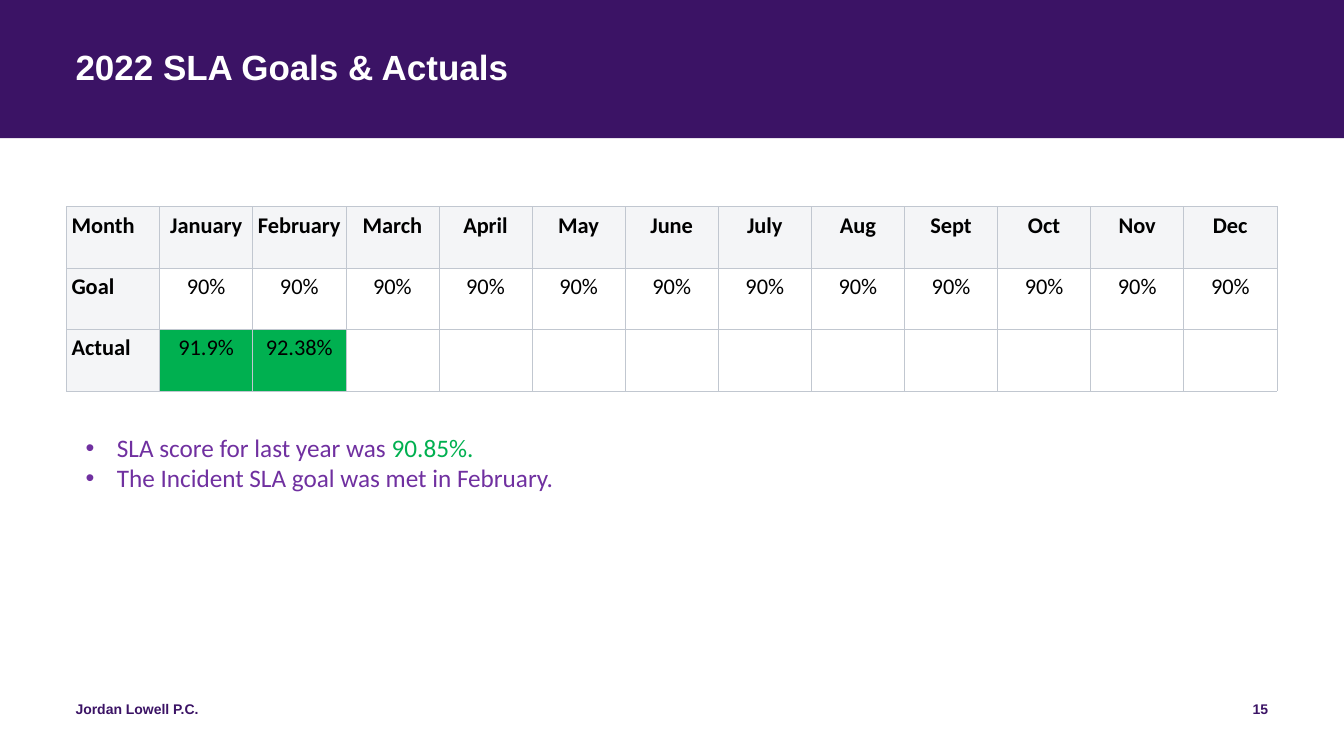
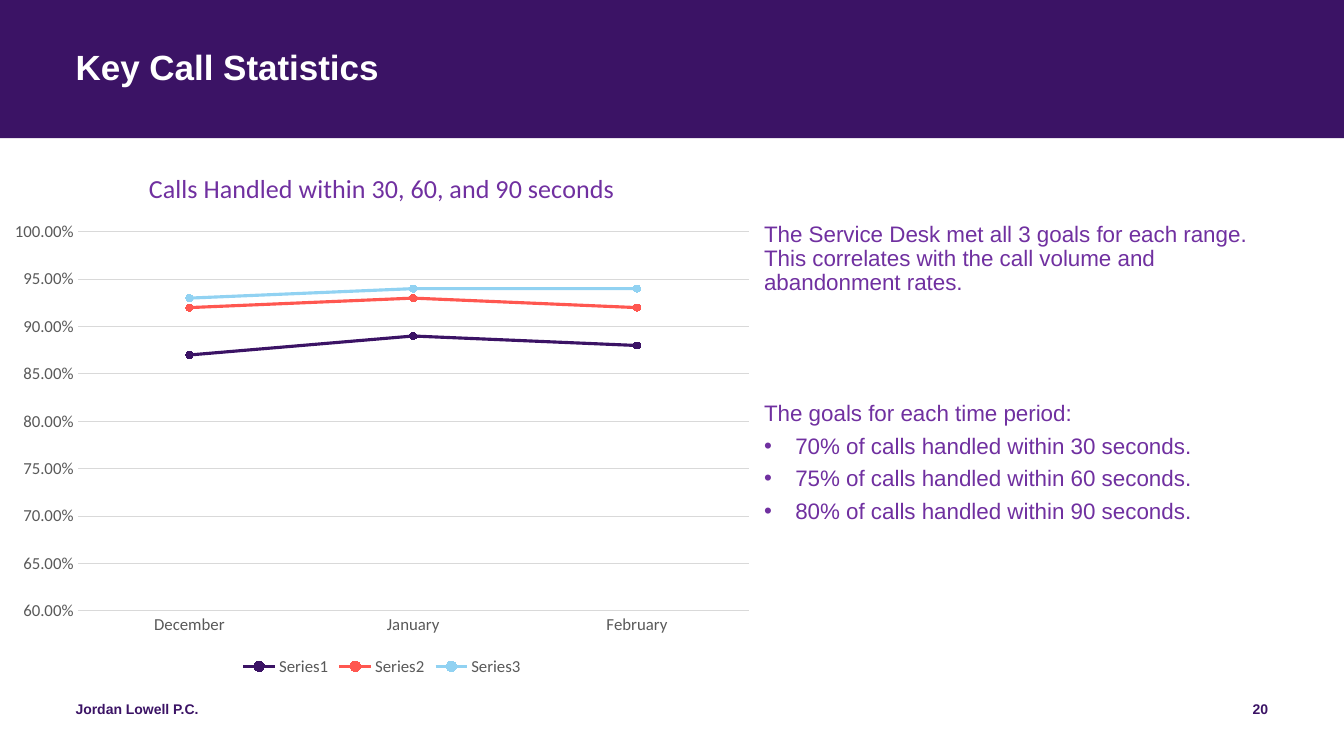
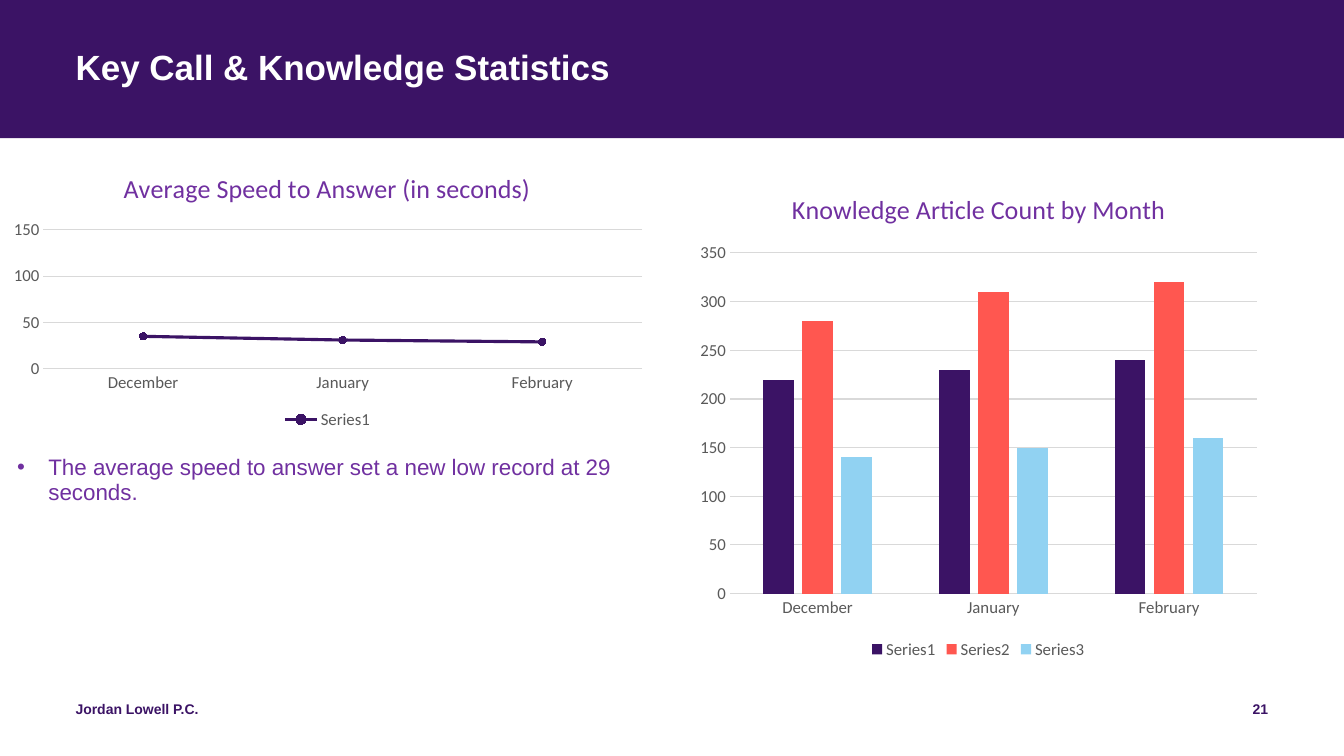
"""Build three service desk report slides."""
from dataclasses import dataclass

from lxml import etree
from pptx import Presentation
from pptx import util as u
from pptx.chart import data as chartdata
from pptx.dml import color as dml
from pptx.enum import chart as charts, shapes, text
from pptx.oxml import ns

SCALE = 9144


@dataclass(frozen=True)
class Theme:
    """Colours, fonts and type sizes of the deck."""
    purple: str = "3B1365"
    violet: str = "7030A0"
    coral: str = "FF5750"
    sky: str = "91D2F2"
    green: str = "00B050"
    white: str = "FFFFFF"
    black: str = "000000"
    header: str = "F4F5F7"
    border: str = "C1C7D0"
    grid: str = "D9D9D9"
    label: str = "595959"
    sans: str = "Arial"
    humanist: str = "Calibri"
    title: int = 25
    chart_title: float = 18.6
    bullet: int = 18
    body: int = 16
    axis: int = 12
    footer: int = 10


THEME = Theme()


def px(length):
    """Turn px into EMU."""
    return u.Emu(length * SCALE)


def rgb(code):
    """Turn a hex code into a colour."""
    return dml.RGBColor.from_string(code)


def style(font, size, color, name, bold=False):
    """Format a font."""
    font.size, font.name, font.bold = u.Pt(size), name, bold
    font.color.rgb = rgb(color)


def write(para, words, size=THEME.body, color=THEME.violet, name=THEME.sans,
          bold=False, align=text.PP_ALIGN.LEFT, leading=None, after=0):
    """Add a formatted span to a paragraph."""
    span = para.add_run()
    span.text = words
    style(span.font, size, color, name, bold)
    para.alignment = align
    para.space_before, para.space_after = u.Pt(0), u.Pt(after)
    if leading:
        para.line_spacing = leading


def element(parent, tag, **attributes):
    """Append an XML element with attributes."""
    return etree.SubElement(parent, ns.qn(tag), {key: str(value) for key, value in attributes.items()})


def set_bullet(para, shown):
    """Give a paragraph a hanging bullet or none."""
    props = para._p.get_or_add_pPr()
    indent = px(31) if shown else 0
    props.set("marL", str(indent))
    props.set("indent", str(-indent))
    if shown:
        element(props, "a:buFont", typeface=THEME.sans)
        element(props, "a:buChar", char="•")
    else:
        element(props, "a:buNone")


def set_borders(cell):
    """Draw a thin line on all four sides of a cell."""
    props = cell._tc.get_or_add_tcPr()
    for side in ("a:lnL", "a:lnR", "a:lnT", "a:lnB"):
        line = element(props, side, w=u.Pt(0.5))
        element(element(line, "a:solidFill"), "a:srgbClr", val=THEME.border)


def set_layout(parent, index, frame, area, inner=False):
    """Place a chart part at an area given in slide px."""
    old = parent.find(ns.qn("c:layout"))
    if old is not None:
        parent.remove(old)
    layout = etree.Element(ns.qn("c:layout"))
    parent.insert(index, layout)
    manual = element(layout, "c:manualLayout")
    if inner:
        element(manual, "c:layoutTarget", val="inner")
    for tag in ("c:xMode", "c:yMode"):
        element(manual, tag, val="edge")
    left, top, width, height = frame
    shares = [(area[0] - left) / width, (area[1] - top) / height]
    if inner:
        shares += [area[2] / width, area[3] / height]
    for tag, share in zip(("c:x", "c:y", "c:w", "c:h"), shares):
        element(manual, tag, val=round(share, 4))


class Report:
    """Holds the deck, its style and the current page."""

    def __init__(self):
        """Start a wide deck."""
        self.deck = Presentation()
        self.deck.slide_width, self.deck.slide_height = u.Inches(13.333), u.Inches(7.5)
        self.page = None

    def add_page(self, title, number):
        """Start a page with band, title and footer."""
        self.page = self.deck.slides.add_slide(self.deck.slide_layouts[1])
        band = self.page.shapes.add_shape(
            shapes.MSO_SHAPE.RECTANGLE, 0, 0, self.deck.slide_width, px(137))
        band.shadow.inherit = False
        band.fill.solid()
        band.fill.fore_color.rgb = rgb(THEME.purple)
        band.line.fill.background()
        self.page.shapes.element.insert(2, band.element)
        frame = self.prepare(self.page.shapes.title, (75, 50, 1183, 81))
        write(frame.paragraphs[0], title, size=THEME.title, color=THEME.white, bold=True, leading=0.9)
        self.add_footer("Jordan Lowell P.C.", (75, 695, 450, 40), text.PP_ALIGN.LEFT)
        self.add_footer(str(number), (958, 695, 300, 40), text.PP_ALIGN.RIGHT)

    def prepare(self, box, area, inset=(0, 0)):
        """Move a text box and set its frame."""
        box.left, box.top, box.width, box.height = map(px, area)
        frame = box.text_frame
        frame.word_wrap = True
        frame.auto_size = text.MSO_AUTO_SIZE.NONE
        frame.vertical_anchor = text.MSO_ANCHOR.TOP
        frame.margin_left = frame.margin_right = px(inset[0])
        frame.margin_top = frame.margin_bottom = px(inset[1])
        return frame

    def add_footer(self, words, area, align):
        """Add one footer text."""
        box = self.page.shapes.add_textbox(*map(px, area))
        frame = self.prepare(box, area)
        write(frame.paragraphs[0], words, size=THEME.footer, color=THEME.purple, bold=True, align=align)

    def add_body(self, area, items, inset=(0, 0), **look):
        """Fill the body with (bullet, spans, format) items."""
        frame = self.prepare(self.page.placeholders[1], area, inset)
        for index, (bullet, spans, extra) in enumerate(items):
            para = frame.add_paragraph() if index else frame.paragraphs[0]
            for words, color in spans:
                write(para, words, color=color, **{**look, **extra})
            set_bullet(para, bullet)

    def add_table(self, area, rows, fills):
        """Add a bordered table with a shaded first row and column."""
        grid = self.page.shapes.add_table(len(rows), len(rows[0]), *map(px, area)).table
        grid.first_row = grid.horz_banding = False
        for row, values in enumerate(rows):
            for column, value in enumerate(values):
                cell = grid.cell(row, column)
                cell.margin_left = cell.margin_right = px(5)
                cell.margin_top = cell.margin_bottom = px(5)
                set_borders(cell)
                heading = row == 0 or column == 0
                cell.fill.solid()
                cell.fill.fore_color.rgb = rgb(
                    THEME.header if heading else fills.get((row, column), THEME.white))
                if value:
                    write(cell.text_frame.paragraphs[0], value, color=THEME.black,
                          name=THEME.humanist, bold=heading,
                          align=text.PP_ALIGN.CENTER if column else text.PP_ALIGN.LEFT)

    def add_chart(self, kind, area, title, title_at, plot_area, series, limits, number_format="General"):
        """Add a line or column chart by month."""
        source = chartdata.CategoryChartData(number_format=number_format)
        source.categories = ["December", "January", "February"]
        for index, values in enumerate(series, 1):
            source.add_series(f"Series{index}", values)
        chart = self.page.shapes.add_chart(kind, *map(px, area), source).chart
        style(chart.font, THEME.axis, THEME.label, THEME.humanist)
        chart.has_title = True
        write(chart.chart_title.text_frame.paragraphs[0], title, size=THEME.chart_title,
              name=THEME.humanist, align=text.PP_ALIGN.CENTER)
        chart.chart_title.include_in_layout = False
        chart.has_legend = True
        chart.legend.position = charts.XL_LEGEND_POSITION.BOTTOM
        chart.legend.include_in_layout = False
        style(chart.legend.font, THEME.axis, THEME.label, THEME.humanist)
        self.format_axes(chart, limits, number_format)
        self.format_series(chart, kind)
        set_layout(chart.element.find(".//" + ns.qn("c:title")), 1, area, title_at)
        set_layout(chart.element.find(".//" + ns.qn("c:plotArea")), 0, area, plot_area, inner=True)

    def format_axes(self, chart, limits, number_format):
        """Set axis range, lines and labels."""
        for axis in (chart.category_axis, chart.value_axis):
            axis.major_tick_mark = axis.minor_tick_mark = charts.XL_TICK_MARK.NONE
            style(axis.tick_labels.font, THEME.axis, THEME.label, THEME.humanist)
        scale = chart.value_axis
        scale.minimum_scale, scale.maximum_scale, scale.major_unit = limits
        scale.tick_labels.number_format = number_format
        scale.tick_labels.number_format_is_linked = False
        scale.has_major_gridlines = True
        scale.format.line.fill.background()
        for line in (chart.category_axis.format.line, scale.major_gridlines.format.line):
            line.color.rgb, line.width = rgb(THEME.grid), u.Pt(0.75)

    def format_series(self, chart, kind):
        """Colour the lines or columns."""
        plot = chart.plots[0]
        plot.vary_by_categories = False
        columns = kind == charts.XL_CHART_TYPE.COLUMN_CLUSTERED
        if columns:
            plot.gap_width, plot.overlap = 219, -27
        for series, color in zip(plot.series, (THEME.purple, THEME.coral, THEME.sky)):
            if columns:
                fill = series.format.fill
            else:
                series.smooth = False
                series.format.line.color.rgb = rgb(color)
                series.format.line.width = u.Pt(2.25)
                series.marker.style = charts.XL_MARKER_STYLE.CIRCLE
                series.marker.size = 5
                series.marker.format.line.color.rgb = rgb(color)
                fill = series.marker.format.fill
            fill.solid()
            fill.fore_color.rgb = rgb(color)


def main():
    """Build and save the deck."""
    report = Report()
    lines = charts.XL_CHART_TYPE.LINE_MARKERS

    report.add_page("2022 SLA Goals & Actuals", 15)
    months = "January February March April May June July Aug Sept Oct Nov Dec".split()
    rows = [["Month", *months], ["Goal"] + ["90%"] * 12, ["Actual", "91.9%", "92.38%"] + [""] * 10]
    report.add_table((66, 205, 1201, 183), rows, {(2, 1): THEME.green, (2, 2): THEME.green})
    report.add_body((75, 424, 1183, 71), [
        (True, [("SLA score for last year was ", THEME.violet), ("90.85%.", THEME.green)], {}),
        (True, [("The Incident SLA goal was met in February.", THEME.violet)], {}),
    ], inset=(10, 5), size=THEME.bullet, name=THEME.humanist)

    report.add_page("Key Call Statistics", 20)
    goals = [(True, [(f"{share}% of calls handled within {seconds} seconds.", THEME.violet)], {})
             for share, seconds in ((70, 30), (75, 60), (80, 90))]
    report.add_body((758, 221, 500, 454), [
        (False, [("The Service Desk met all 3 goals for each range. This correlates with "
                  "the call volume and abandonment rates.", THEME.violet)], {"after": 76.5}),
        (False, [("The goals for each time period:", THEME.violet)], {}),
        *goals,
    ], leading=0.9, after=6)
    report.add_chart(
        lines, (0, 151, 758, 524), "Calls Handled within 30, 60, and 90 seconds",
        (143, 164), (77, 230, 666, 376),
        [(0.87, 0.89, 0.88), (0.92, 0.93, 0.92), (0.93, 0.94, 0.94)],
        (0.6, 1, 0.05), "0.00%")

    report.add_page("Key Call & Knowledge Statistics", 21)
    report.add_body((17, 453, 650, 60), [
        (True, [("The average speed to answer set a new low record at 29 seconds.", THEME.violet)], {}),
    ], leading=0.9, after=6)
    report.add_chart(
        lines, (0, 154, 650, 276), "Average Speed to Answer (in seconds)",
        (118, 164), (43, 228, 594, 138), [(35, 31, 29)], (0, 150, 50))
    report.add_chart(
        charts.XL_CHART_TYPE.COLUMN_CLUSTERED, (683, 169, 575, 489),
        "Knowledge Article Count by Month", (781, 185), (724, 251, 523, 338),
        [(220, 230, 240), (280, 310, 320), (140, 150, 160)], (0, 350, 50))

    report.deck.save("out.pptx")


if __name__ == "__main__":
    main()
